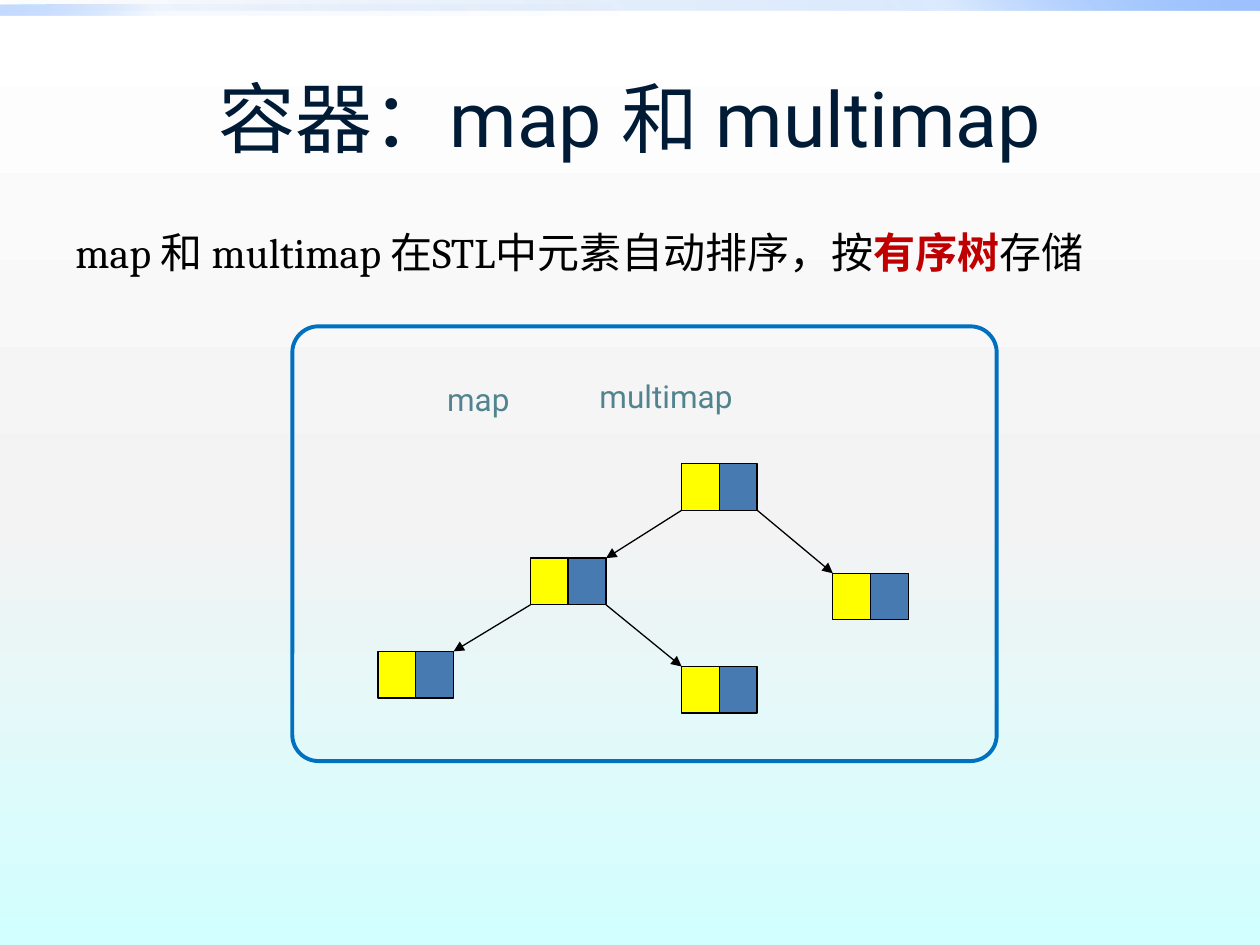
from lxml.etree import SubElement
from pptx import Presentation
from pptx.dml.color import RGBColor
from pptx.enum.shapes import MSO_CONNECTOR, MSO_SHAPE
from pptx.enum.text import MSO_ANCHOR, PP_ALIGN
from pptx.oxml.ns import qn
from pptx.util import Inches, Pt

rgb = RGBColor.from_string


def set_gradient(fill, element, angle, stops):
    """Fill with (position %, colour, opacity %) stops; angle is clockwise."""
    fill.gradient()
    fill.gradient_angle = 360 - angle
    stop_list = element.find(".//" + qn("a:gsLst"))
    for stop in list(stop_list):
        stop_list.remove(stop)
    for position, color, opacity in stops:
        stop = SubElement(stop_list, qn("a:gs"), pos=str(position * 1000))
        color_element = SubElement(stop, qn("a:srgbClr"), val=color)
        if opacity < 100:
            SubElement(color_element, qn("a:alpha"), val=str(opacity * 1000))


def format_run(run, font_name, size, color, bold=False):
    run.font.name = font_name
    run.font.size = Pt(size)
    run.font.color.rgb = rgb(color)
    run.font.bold = bold


presentation = Presentation()
presentation.slide_width = Inches(10)
presentation.slide_height = Inches(7.5)
slide = presentation.slides.add_slide(presentation.slide_layouts[5])
shapes = slide.shapes

# Background and top bars
set_gradient(slide.background.fill, slide.element, 90,
             [(0, "FFFFFF", 100), (55, "F3F3F3", 100), (100, "D2FFFF", 100)])
for top, width, angle, middle_opacity, end_opacity in [(0, 10, 315, 20, 100),
                                                       (0.04, 5, 135, 5, 60)]:
    bar = shapes.add_shape(MSO_SHAPE.RECTANGLE, 0, Inches(top), Inches(width), Inches(0.08))
    bar.shadow.inherit = False
    bar.line.fill.background()
    set_gradient(bar.fill, bar.element, angle,
                 [(0, "0058B7", 0), (75, "4F95FF", middle_opacity), (100, "9EC2FF", end_opacity)])

# Title
title = shapes.title
title.left, title.top, title.width, title.height = (Inches(v) for v in (0.5, 0.3, 9, 1.25))
title.text_frame.text = "容器：map 和 multimap"
title.text_frame.vertical_anchor = MSO_ANCHOR.MIDDLE
title.text_frame.paragraphs[0].alignment = PP_ALIGN.CENTER
format_run(title.text_frame.paragraphs[0].runs[0], "Roboto", 44, "001B36")

# Body
body = shapes.add_textbox(Inches(0.5), Inches(1.75), Inches(9), Inches(4.95))
body.text_frame.word_wrap = True
paragraph = body.text_frame.paragraphs[0]
paragraph.alignment = PP_ALIGN.JUSTIFY
for text, color, bold in [("map 和 multimap 在STL中元素自动排序，按", "000000", False),
                          ("有序树", "C00000", True),
                          ("存储", "000000", False)]:
    run = paragraph.add_run()
    run.text = text
    format_run(run, "Cambria", 24, color, bold)

# Tree: each node is a key cell beside a value cell
cell_width, cell_height = 0.3, 0.37
nodes = {
    "root": (5.41, 3.68),
    "left": (4.21, 4.43),
    "right": (6.61, 4.55),
    "left left": (3.0, 5.17),
    "left right": (5.41, 5.29),
}
edges = [("root", "left"), ("root", "right"), ("left", "left left"), ("left", "left right")]

for parent, child in edges:
    start_x, parent_top = nodes[parent]
    end_x, end_y = nodes[child]
    if end_x > start_x:
        start_x += 2 * cell_width
    else:
        end_x += 2 * cell_width
    arrow = shapes.add_connector(MSO_CONNECTOR.STRAIGHT, Inches(start_x),
                                 Inches(parent_top + cell_height), Inches(end_x), Inches(end_y))
    arrow.line.color.rgb = rgb("000000")
    arrow.line.width = Pt(0.75)
    SubElement(arrow.line._get_or_add_ln(), qn("a:tailEnd"), type="triangle")
    SubElement(arrow.element.spPr, qn("a:effectLst"))

for left, top in nodes.values():
    for column, color in enumerate(("FFFF00", "477AB1")):
        cell = shapes.add_shape(MSO_SHAPE.RECTANGLE, Inches(left + column * cell_width),
                                Inches(top), Inches(cell_width), Inches(cell_height))
        cell.shadow.inherit = False
        cell.fill.solid()
        cell.fill.fore_color.rgb = rgb(color)
        cell.line.color.rgb = rgb("000000")
        cell.line.width = Pt(0.75)

# Labels and frame
for text, left, top, width in [("map", 3.45, 2.97, 1.65), ("multimap", 4.66, 2.94, 2.86)]:
    label = shapes.add_textbox(Inches(left), Inches(top), Inches(width), Inches(0.59))
    label.text_frame.word_wrap = True
    label.text_frame.text = text
    format_run(label.text_frame.paragraphs[0].runs[0], "Roboto", 18, "51848E")

frame = shapes.add_shape(MSO_SHAPE.ROUNDED_RECTANGLE, Inches(2.32), Inches(2.59),
                         Inches(5.59), Inches(3.45))
frame.adjustments[0] = 0.06
frame.shadow.inherit = False
frame.fill.background()
frame.line.color.rgb = rgb("0070C0")
frame.line.width = Pt(2.25)

presentation.save("out.pptx")
